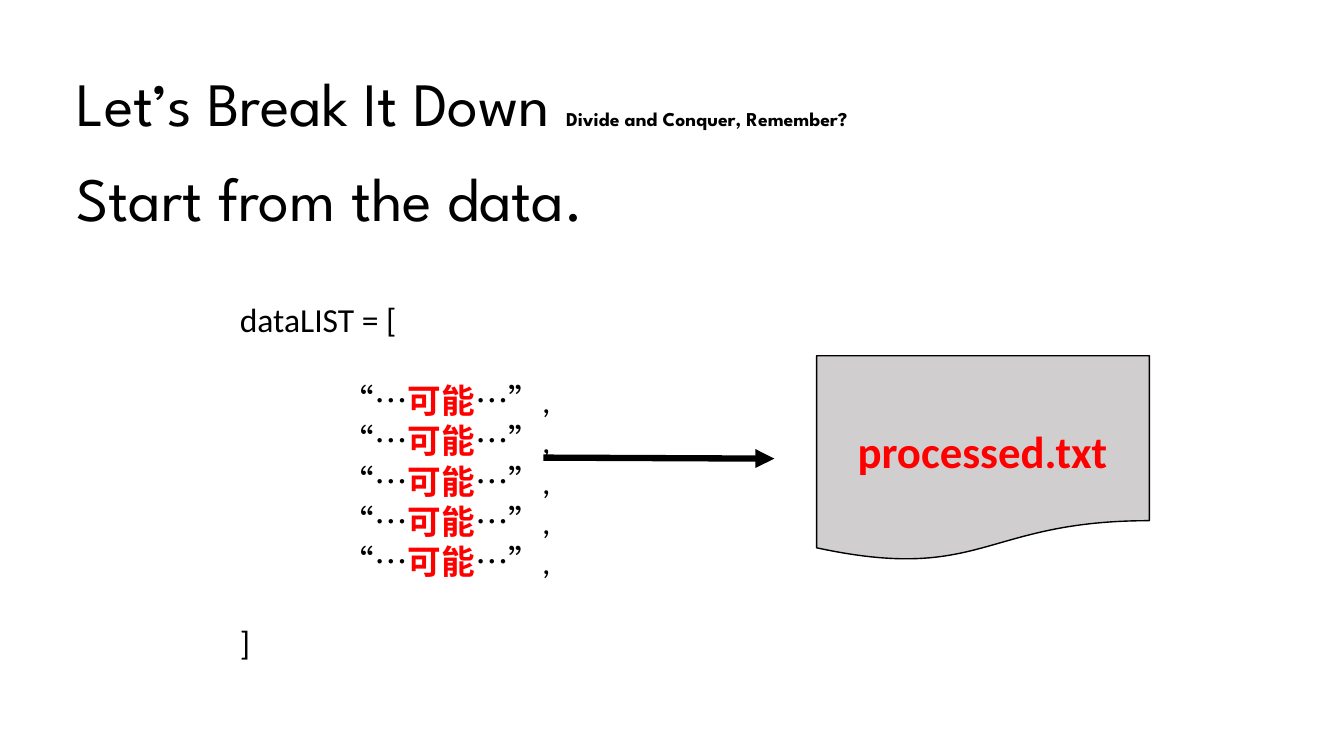
from lxml import etree
from pptx import Presentation
from pptx.dml.color import RGBColor
from pptx.enum.shapes import MSO_CONNECTOR, MSO_SHAPE
from pptx.enum.text import MSO_ANCHOR, PP_ALIGN
from pptx.oxml.ns import qn
from pptx.util import Inches, Pt

BLACK, RED, GRAY = "000000", "FF0000", "D0CECE"
HEADING_FONT, BODY_FONT, CHINESE_FONT = "League Spartan", "Calibri", "Noto Sans CJK SC"
TOP, BOTTOM = MSO_ANCHOR.TOP, MSO_ANCHOR.BOTTOM
LEFT, CENTER = PP_ALIGN.LEFT, PP_ALIGN.CENTER

TITLE = "Let’s Break It Down "
TITLE_ASIDE = "Divide and Conquer, Remember?"
SUBTITLE = "Start from the data."
LIST_OPEN, LIST_CLOSE = "dataLIST = [", "]"
LIST_ITEM = ("\t“…", "可能", "…”,")
ITEM_COUNT = 5
FILE_NAME = "processed.txt"

# left, top, width, height in inches
TITLE_BOX = (0.66, 0.53, 10, 0.91)
SUBTITLE_BOX = (0.66, 1.54, 8, 0.84)
LIST_BOX = (2.28, 2.92, 7.72, 3.74)
DOCUMENT_BOX = (8.1, 3.53, 3.3, 2.04)
FILE_NAME_BOX = (8.29, 4.15, 2.91, 0.64)
ARROW = (5.39, 4.54, 7.68, 4.55)  # start x, start y, end x, end y
LINE_HEIGHT = Pt(28.8)
TAB_WIDTH = Inches(1)


def inches(values):
    return [Inches(value) for value in values]


def color(hex_string):
    return RGBColor.from_string(hex_string)


def style(font, name, size, hex_string=BLACK, bold=False):
    font.name, font.size, font.bold = name, Pt(size), bold
    font.color.rgb = color(hex_string)


def add_text_frame(slide, box, anchor=TOP):
    frame = slide.shapes.add_textbox(*inches(box)).text_frame
    frame.word_wrap = True
    frame.vertical_anchor = anchor
    return frame


def add_label(slide, box, text, font_name, size, hex_string=BLACK, bold=False, align=LEFT):
    paragraph = add_text_frame(slide, box).paragraphs[0]
    paragraph.text = text
    paragraph.alignment = align
    style(paragraph.font, font_name, size, hex_string, bold)


def add_title(slide):
    paragraph = add_text_frame(slide, TITLE_BOX, BOTTOM).paragraphs[0]
    paragraph.line_spacing = 0.9
    for text, size, bold in ((TITLE, 44, False), (TITLE_ASIDE, 14, True)):
        run = paragraph.add_run()
        run.text = text
        style(run.font, HEADING_FONT, size, bold=bold)


def add_data_list(slide):
    frame = add_text_frame(slide, LIST_BOX)
    lines = [(LIST_OPEN,)] + [LIST_ITEM] * ITEM_COUNT + [(LIST_CLOSE,)]
    for index, parts in enumerate(lines):
        paragraph = frame.add_paragraph() if index else frame.paragraphs[0]
        paragraph.line_spacing = LINE_HEIGHT
        paragraph._element.get_or_add_pPr().set("defTabSz", str(TAB_WIDTH))
        if index in (1, len(lines) - 1):
            paragraph.space_before = LINE_HEIGHT
        for text in parts:
            run = paragraph.add_run()
            run.text = text
            if text == LIST_ITEM[1]:
                style(run.font, CHINESE_FONT, 24, RED, True)
                east_asian = etree.SubElement(run.font._element, qn("a:ea"))
                east_asian.set("typeface", CHINESE_FONT)
            else:
                style(run.font, BODY_FONT, 24)


def add_arrow(slide):
    arrow = slide.shapes.add_connector(MSO_CONNECTOR.STRAIGHT, *inches(ARROW))
    arrow.line.color.rgb = color(BLACK)
    arrow.line.width = Pt(4.5)
    etree.SubElement(arrow.line._get_or_add_ln(), qn("a:tailEnd")).set("type", "triangle")
    etree.SubElement(arrow._element.spPr, qn("a:effectLst"))


def add_document(slide):
    document = slide.shapes.add_shape(MSO_SHAPE.FLOWCHART_DOCUMENT, *inches(DOCUMENT_BOX))
    document.shadow.inherit = False
    document.fill.solid()
    document.fill.fore_color.rgb = color(GRAY)
    document.line.color.rgb = color(BLACK)
    document.line.width = Pt(1)


def main():
    presentation = Presentation()
    presentation.slide_width, presentation.slide_height = inches((13.33, 7.5))
    slide = presentation.slides.add_slide(presentation.slide_layouts[6])
    add_title(slide)
    add_label(slide, SUBTITLE_BOX, SUBTITLE, HEADING_FONT, 44)
    add_data_list(slide)
    add_arrow(slide)
    add_document(slide)
    add_label(slide, FILE_NAME_BOX, FILE_NAME, BODY_FONT, 32, RED, True, CENTER)
    presentation.save("out.pptx")


if __name__ == "__main__":
    main()
